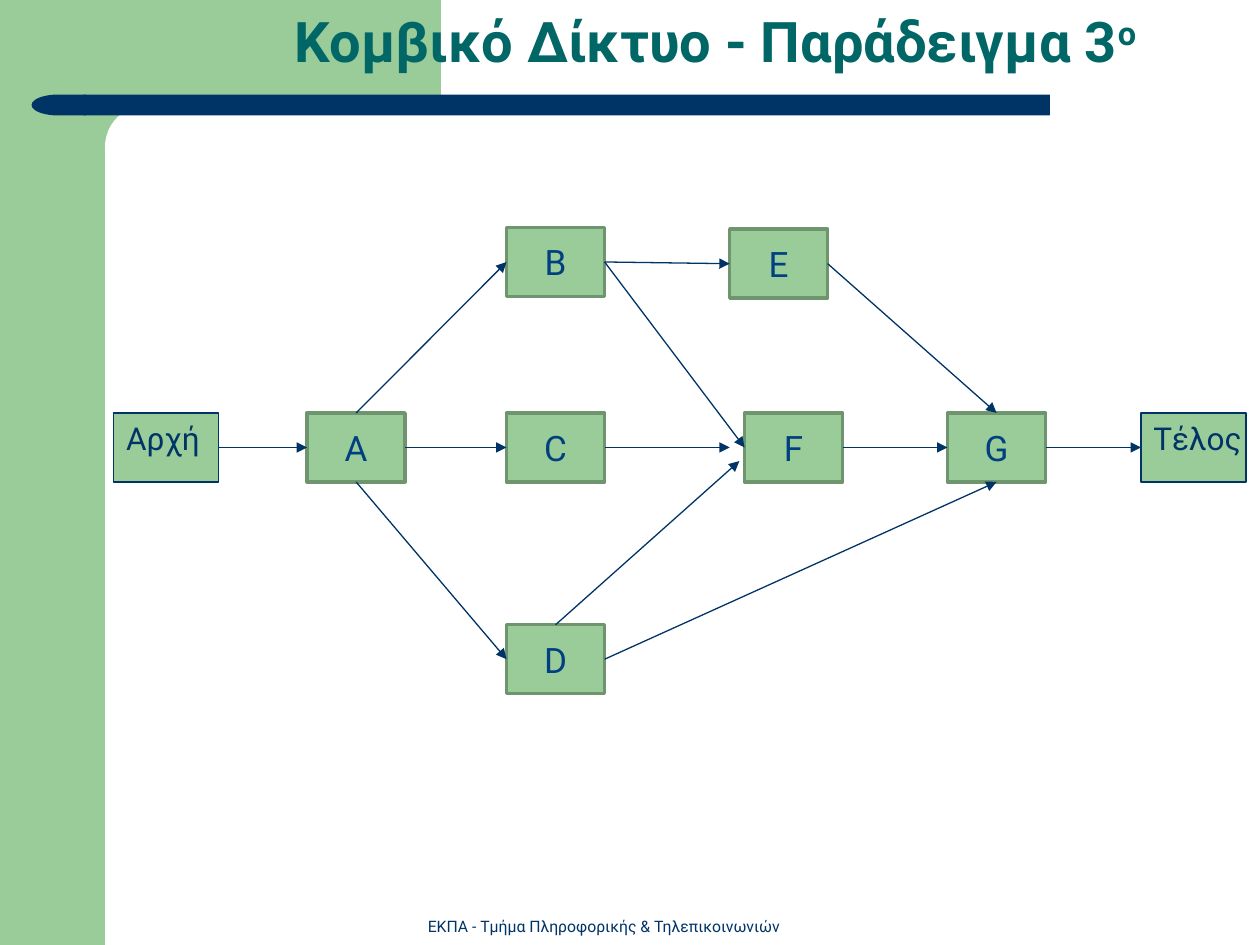
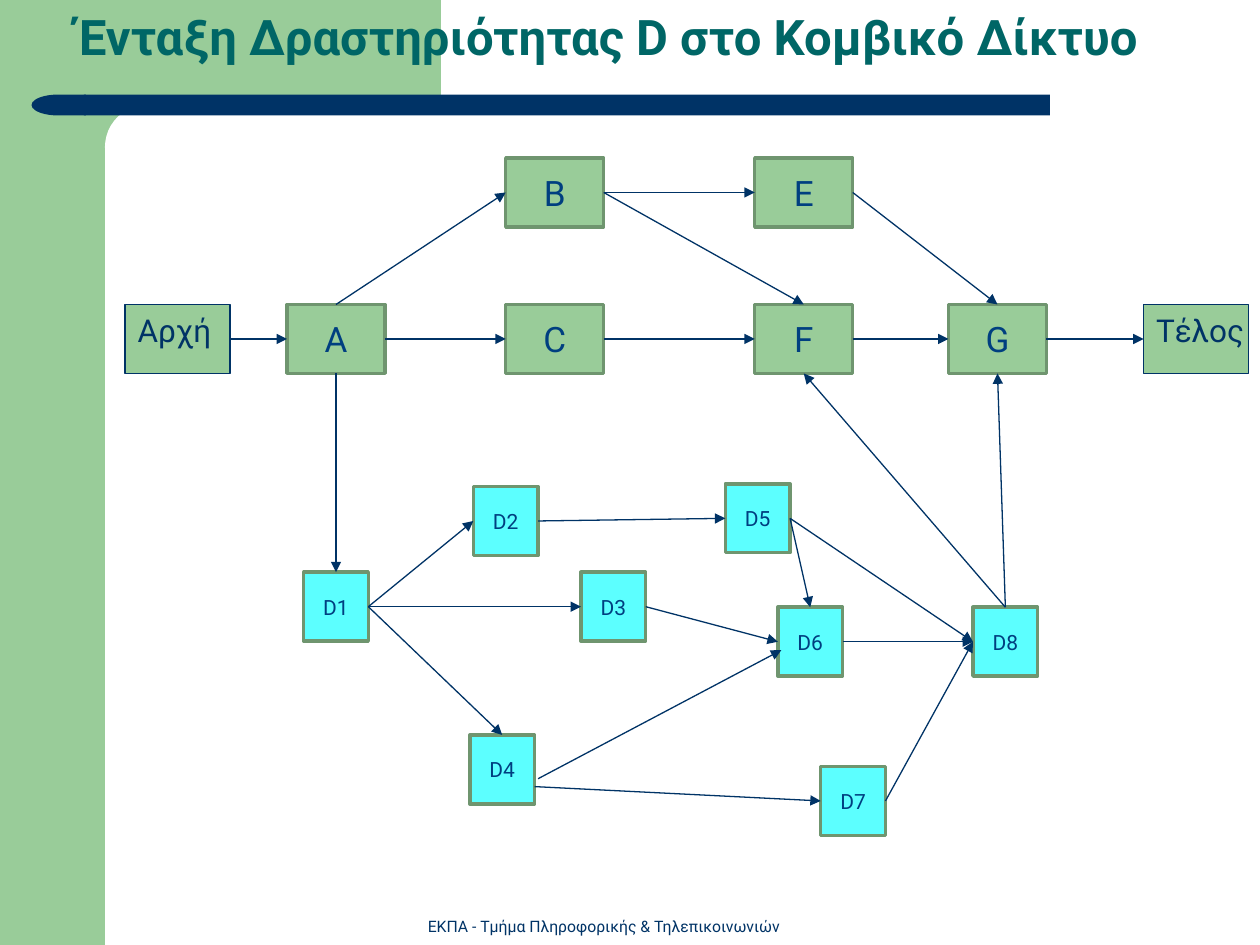
from lxml import etree
from pptx import Presentation
from pptx import util as u
from pptx.dml import color
from pptx.enum import shapes, text
from pptx.oxml import ns

# Shared style
FONT = "Roboto"
GREEN, CYAN, WHITE = "99CC99", "5CFFFF", "FFFFFF"
NAVY, TEAL, NODE_TEXT, NODE_EDGE = "003366", "006666", "003F80", "6F956F"
FOOTER = "ΕΚΠΑ - Τμήμα Πληροφορικής & Τηλεπικοινωνιών"
SHAPE = shapes.MSO_SHAPE
ALIGN, ANCHOR = text.PP_ALIGN, text.MSO_ANCHOR

# Connection sites of a rectangle
TOP, LEFT, BOTTOM, RIGHT = range(4)

# Node sizes
NODE_HEIGHT = 39.4
NODE_WIDTH, STEP_WIDTH, TERMINAL_WIDTH = 56, 37, 60


def rgb(value):
    return color.RGBColor.from_string(value)


class NetworkDeck:
    def __init__(self):
        self.presentation = Presentation()
        self.presentation.slide_width = u.Pt(720)
        self.presentation.slide_height = u.Pt(540)
        self.slide = None
        self.nodes = {}

    def new_slide(self, title, left, size, superscript=""):
        self.slide = self.presentation.slides.add_slide(self.presentation.slide_layouts[6])
        self.nodes = {}
        self.frame()
        width, height = 711.4 - left, size * 1.44
        paragraph = self.text_box(title, left, 0, width, height, size, TEAL, bold=True)
        if superscript:
            run = paragraph.add_run()
            run.text = superscript
            run._r.get_or_add_rPr().set("baseline", "30000")

    def frame(self):
        """Green corner, navy bar and footer found on every slide."""
        self.shape(SHAPE.RECTANGLE, 0, 0, 60, 540, GREEN)
        self.shape(SHAPE.RECTANGLE, 54, 0, 198, 84, GREEN)
        self.shape(SHAPE.ROUNDED_RECTANGLE, 60, 60, 402, 48, WHITE).adjustments[0] = 0.5
        self.shape(SHAPE.RECTANGLE, 48, 54, 552, 12, NAVY)
        self.shape(SHAPE.FLOWCHART_DELAY, 18, 54, 31, 12, NAVY).rotation = 180
        self.text_box(FOOTER, 231, 520, 228, 18, 9, NAVY, ALIGN.CENTER, ANCHOR.BOTTOM)

    def shape(self, kind, left, top, width, height, fill, edge=None, edge_width=0.75):
        shape = self.slide.shapes.add_shape(
            kind, u.Pt(left), u.Pt(top), u.Pt(width), u.Pt(height))
        shape.shadow.inherit = False
        shape.fill.solid()
        shape.fill.fore_color.rgb = rgb(fill)
        if edge:
            shape.line.color.rgb = rgb(edge)
            shape.line.width = u.Pt(edge_width)
        else:
            shape.line.fill.background()
        return shape

    def set_text(self, shape, words, size, ink, align, anchor, wrap=True, bold=False):
        frame = shape.text_frame
        frame.word_wrap = wrap
        frame.vertical_anchor = anchor
        paragraph = frame.paragraphs[0]
        paragraph.text = words
        paragraph.alignment = align
        font = paragraph.font
        font.name, font.size, font.bold = FONT, u.Pt(size), bold
        font.color.rgb = rgb(ink)
        return paragraph

    def text_box(self, words, left, top, width, height, size, ink,
                 align=ALIGN.LEFT, anchor=ANCHOR.TOP, bold=False):
        box = self.slide.shapes.add_textbox(
            u.Pt(left), u.Pt(top), u.Pt(width), u.Pt(height))
        return self.set_text(box, words, size, ink, align, anchor, bold=bold)

    def node(self, name, left, top, width=NODE_WIDTH, fill=GREEN, size=20):
        box = self.shape(SHAPE.RECTANGLE, left, top, width, NODE_HEIGHT, fill, NODE_EDGE, 2)
        self.set_text(box, name, size, NODE_TEXT, ALIGN.CENTER, ANCHOR.MIDDLE)
        self.nodes[name] = box

    def step(self, name, left, top):
        self.node(name, left, top, STEP_WIDTH, CYAN, 12)

    def terminal(self, name, left, top):
        box = self.shape(SHAPE.RECTANGLE, left, top, TERMINAL_WIDTH, NODE_HEIGHT, GREEN, NAVY)
        self.set_text(box, name, 18, NAVY, ALIGN.LEFT, ANCHOR.TOP, wrap=False)
        self.nodes[name] = box

    def arrow(self, start, end):
        """Each end is (node name, side) or a free point (x, y)."""
        connector = self.slide.shapes.add_connector(shapes.MSO_CONNECTOR.STRAIGHT, 0, 0, 0, 0)
        if start[0] in self.nodes:
            connector.begin_connect(self.nodes[start[0]], start[1])
        else:
            connector.begin_x, connector.begin_y = map(u.Pt, start)
        if end[0] in self.nodes:
            connector.end_connect(self.nodes[end[0]], end[1])
        else:
            connector.end_x, connector.end_y = map(u.Pt, end)
        connector.line.color.rgb = rgb(NAVY)
        connector.line.width = u.Pt(0.75)
        properties = connector._element.spPr
        outline = properties.find(ns.qn("a:ln"))
        etree.SubElement(outline, ns.qn("a:tailEnd"), type="triangle")
        etree.SubElement(properties, ns.qn("a:effectLst"))

    def chain(self, *names):
        """Join neighbours in a row, right side to left side."""
        for first, second in zip(names, names[1:]):
            self.arrow((first, RIGHT), (second, LEFT))


def example_network(deck):
    deck.new_slide("Κομβικό Δίκτυο - Παράδειγμα 3", 161.4, 32, "ο")

    # Activities
    row = 236
    deck.terminal("Αρχή", 65, row)
    for name, left, top in [("Α", 175.5, row), ("B", 289.5, 130), ("C", 289.5, row),
                            ("D", 289.5, 357), ("E", 417, 131), ("F", 425.5, row),
                            ("G", 541.5, row)]:
        deck.node(name, left, top)
    deck.terminal("Τέλος", 652, row)

    # Dependencies
    deck.chain("Αρχή", "Α", "C")
    deck.chain("B", "E")
    deck.chain("B", "F", "G", "Τέλος")
    for start, end in [(("Α", TOP), ("B", LEFT)),
                       (("Α", BOTTOM), ("D", LEFT)),
                       (("C", RIGHT), (417, row + NODE_HEIGHT / 2)),
                       (("D", TOP), (422.5, 263.5)),
                       (("E", RIGHT), ("G", TOP)),
                       (("D", RIGHT), ("G", BOTTOM))]:
        deck.arrow(start, end)


def expanded_network(deck):
    deck.new_slide("Ένταξη Δραστηριότητας D στο Κομβικό Δίκτυο", 36.7, 28)

    # Steps of activity D
    for name, left, top in [("D1", 173.5, 327), ("D2", 270.5, 278), ("D3", 332, 327),
                            ("D4", 268.5, 420), ("D5", 414.5, 276.5), ("D6", 444.5, 347),
                            ("D7", 469, 438), ("D8", 556, 347)]:
        deck.step(name, left, top)

    # Activities
    row, upper_row = 174, 90.3
    deck.terminal("Αρχή", 71.5, row)
    for name, left, top in [("Α", 164, row), ("B", 289, upper_row), ("C", 289, row),
                            ("E", 431.3, upper_row), ("F", 431.3, row), ("G", 542, row)]:
        deck.node(name, left, top)
    deck.terminal("Τέλος", 653.5, row)

    # Dependencies
    deck.chain("Αρχή", "Α", "C", "F", "G", "Τέλος")
    deck.chain("B", "E")
    deck.chain("D1", "D2", "D5", "D8")
    deck.chain("D1", "D3", "D6", "D8")
    deck.chain("D7", "D8")
    for start, end in [(("Α", TOP), ("B", LEFT)),
                       (("B", RIGHT), ("F", TOP)),
                       (("E", RIGHT), ("G", TOP)),
                       (("Α", BOTTOM), ("D1", TOP)),
                       (("D8", TOP), ("F", BOTTOM)),
                       (("D8", TOP), ("G", BOTTOM)),
                       (("D1", RIGHT), ("D4", TOP)),
                       (("D5", RIGHT), ("D6", TOP)),
                       ((307.5, 445), (446.5, 371.5)),
                       ((305.5, 449.5), ("D7", LEFT))]:
        deck.arrow(start, end)


def main():
    deck = NetworkDeck()
    example_network(deck)
    expanded_network(deck)
    deck.presentation.save("out.pptx")


if __name__ == "__main__":
    main()
